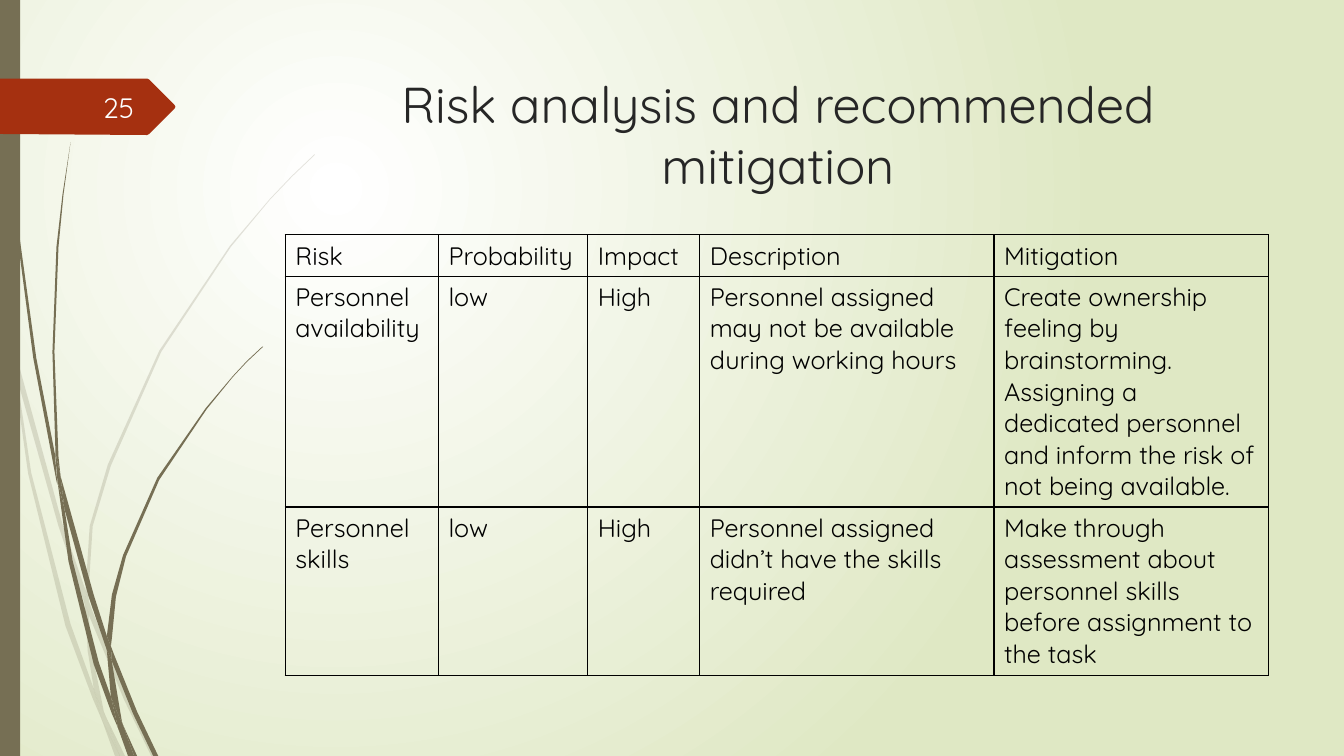
from lxml.etree import SubElement
from pptx import Presentation
from pptx.dml.color import RGBColor
from pptx.enum.shapes import MSO_SHAPE
from pptx.enum.text import MSO_ANCHOR, PP_ALIGN
from pptx.oxml.ns import qn
from pptx.util import Inches, Pt

WHITE = RGBColor(0xFF, 0xFF, 0xFF)
PALE_GREEN = RGBColor(0xDF, 0xE8, 0xC4)
OLIVE = RGBColor(0x76, 0x6F, 0x54)
RUST = RGBColor(0xA5, 0x30, 0x10)
CHARCOAL = RGBColor(0x26, 0x26, 0x26)
NUMBER_WHITE = RGBColor(0xFE, 0xFF, 0xFF)
BLACK = RGBColor(0, 0, 0)

COLUMNS, ROWS = 1333, 750
UNIT = Inches(0.01)

FAINT_GRASS = [
    [(11, 350), (9, 322), (0, 282), (0, 299), (10, 344)],
    [(58, 522), (84, 599), (85, 586), (62, 520), (14, 345), (17, 376)],
    [(92, 607), (88, 596), (88, 610), (123, 694), (150, 750), (155, 750), (127, 692)],
    [(119, 750), (124, 750), (105, 711)],
    [(93, 683), (70, 619), (31, 469), (17, 376), (11, 350), (28, 470), (65, 621),
     (92, 693), (101, 714), (99, 707)],
    [(84, 599), (87, 646), (93, 683), (96, 692), (105, 711), (103, 706), (91, 646),
     (88, 610), (88, 608)],
    [(88, 584), (92, 522), (110, 462), (160, 349), (229, 245), (268, 198), (290, 175),
     (312, 154), (312, 153), (289, 175), (268, 197), (228, 244), (158, 348), (107, 461),
     (89, 522), (85, 584), (85, 586), (88, 596)],
    [(101, 714), (114, 750), (119, 750)],
    [(88, 608), (88, 610), (88, 596), (85, 586), (84, 599)],
    [(96, 692), (93, 683), (99, 707), (101, 714), (119, 750), (105, 711)],
]
BOLD_GRASS = [
    [(7, 110), (17, 233), (33, 355), (56, 477), (57, 481), (55, 457), (55, 453),
     (36, 355), (19, 232), (8, 109), (5, 48), (4, 0), (3, 0), (4, 48)],
    [(88, 592), (106, 645), (106, 633), (106, 631), (93, 590), (60, 472), (64, 505)],
    [(113, 649), (110, 641), (111, 656), (132, 708), (152, 750), (157, 750), (136, 706)],
    [(110, 691), (98, 657), (72, 556), (64, 505), (57, 477), (68, 557), (93, 659),
     (111, 708), (117, 722), (116, 717)],
    [(60, 472), (58, 453), (54, 349), (58, 245), (63, 193), (70, 141), (62, 193),
     (56, 245), (52, 349), (55, 449)],
    [(133, 750), (136, 750), (122, 719)],
    [(57, 477), (64, 505), (60, 472), (55, 449), (55, 453)],
    [(111, 633), (115, 592), (125, 552), (158, 476), (205, 406), (231, 374), (245, 359),
     (261, 344), (260, 344), (245, 358), (231, 373), (204, 405), (156, 474), (122, 551),
     (111, 590), (106, 631), (110, 641)],
    [(117, 722), (127, 750), (131, 750)],
    [(106, 645), (110, 691), (116, 706), (122, 719), (121, 716), (111, 656), (109, 651)],
    [(106, 645), (109, 651), (111, 656), (110, 641), (106, 631), (106, 633)],
    [(116, 706), (110, 691), (116, 717), (117, 722), (130, 750), (133, 750), (122, 719)],
]
NUMBER_TAG = [(0, 78), (146, 78), (148, 79), (173, 104), (174, 106), (173, 108),
              (148, 133), (146, 134), (0, 133)]

RISK_COLUMNS = [152, 148, 111, 292, 272]
RISK_ROWS = [41, 229, 167]
RISKS = [
    ["Risk", "Probability", "Impact", "Description", "Mitigation"],
    ["Personnel availability", "low", "High",
     "Personnel assigned may not be available during working hours",
     "Create ownership feeling by brainstorming. Assigning a dedicated personnel "
     "and inform the risk of not being available."],
    ["Personnel skills", "low", "High",
     "Personnel assigned didn’t have the skills required",
     "Make through assessment about personnel skills before assignment to the task"],
]


class Deck:
    font = "Quicksand"

    def __init__(self):
        self.presentation = Presentation()
        self.presentation.slide_width = COLUMNS * UNIT
        self.presentation.slide_height = ROWS * UNIT
        self.slide = self.presentation.slides.add_slide(self.presentation.slide_layouts[6])

    def glow(self, center, edge):
        fill = self.slide.background.fill
        fill.gradient()
        for stop, color, position in zip(fill.gradient_stops, (center, edge), (0, 1)):
            stop.color.rgb = color
            stop.position = position
        gradient = self.slide.element.find(".//" + qn("a:gradFill"))
        gradient.remove(gradient.find(qn("a:lin")))
        circle = SubElement(gradient, qn("a:path"), {"path": "circle"})
        SubElement(circle, qn("a:fillToRect"),
                   {"l": "50000", "t": "50000", "r": "100000", "b": "100000"})

    def paint(self, shape, color, opacity=100):
        shape.shadow.inherit = False
        shape.fill.solid()
        shape.fill.fore_color.rgb = color
        shape.line.fill.background()
        if opacity < 100:
            tint = shape.element.spPr.find(".//" + qn("a:srgbClr"))
            SubElement(tint, qn("a:alpha"), {"val": str(opacity * 1000)})

    def outline(self, points, color, opacity=100, group=None):
        builder = (group or self.slide).shapes.build_freeform(*points[0], scale=UNIT)
        builder.add_line_segments(points[1:])
        self.paint(builder.convert_to_shape(), color, opacity)

    def grass(self, blades, opacity):
        group = self.slide.shapes.add_group_shape()
        for blade in blades:
            self.outline(blade, OLIVE, opacity, group)

    def bar(self, box, color):
        bar = self.slide.shapes.add_shape(MSO_SHAPE.RECTANGLE, *(n * UNIT for n in box))
        self.paint(bar, color)

    def set_words(self, paragraph, words, size, color, align):
        paragraph.alignment = align
        run = paragraph.add_run()
        run.text = words
        for name, value in {"name": self.font, "size": Pt(size), "bold": False}.items():
            setattr(run.font, name, value)
        run.font.color.rgb = color

    def text(self, box, words, size, color, align, anchor):
        frame = self.slide.shapes.add_textbox(*(n * UNIT for n in box)).text_frame
        for name, value in {"word_wrap": True, "vertical_anchor": anchor}.items():
            setattr(frame, name, value)
        self.set_words(frame.paragraphs[0], words, size, color, align)

    def border(self, cell):
        properties = cell._tc.get_or_add_tcPr()
        for side in ("lnL", "lnR", "lnT", "lnB"):
            line = SubElement(properties, qn("a:" + side), {"w": str(Pt(1))})
            SubElement(SubElement(line, qn("a:solidFill")), qn("a:srgbClr"),
                       {"val": str(BLACK)})

    def table(self, left, top, widths, heights, entries):
        table = self.slide.shapes.add_table(
            len(heights), len(widths), left * UNIT, top * UNIT,
            sum(widths) * UNIT, sum(heights) * UNIT).table
        for name in ("first_row", "horz_banding"):
            setattr(table, name, False)
        for column, width in zip(table.columns, widths):
            column.width = width * UNIT
        for row, height, words in zip(table.rows, heights, entries):
            row.height = height * UNIT
            for cell, entry in zip(row.cells, words):
                self.border(cell)
                cell.fill.background()
                self.set_words(cell.text_frame.paragraphs[0], entry, 18, BLACK,
                               PP_ALIGN.LEFT)


def main():
    deck = Deck()
    deck.glow(WHITE, PALE_GREEN)
    deck.grass(FAINT_GRASS, 20)
    deck.grass(BOLD_GRASS, 100)
    deck.bar((0, 0, 20, ROWS), OLIVE)
    deck.outline(NUMBER_TAG, RUST)
    deck.text((284, 68, 975, 140), "Risk analysis and recommended mitigation", 36,
              CHARCOAL, PP_ALIGN.CENTER, MSO_ANCHOR.TOP)
    deck.table(283, 233, RISK_COLUMNS, RISK_ROWS, RISKS)
    deck.text((58, 86, 85, 40), "25", 20, NUMBER_WHITE, PP_ALIGN.RIGHT, MSO_ANCHOR.MIDDLE)
    deck.presentation.save("out.pptx")


if __name__ == "__main__":
    main()
